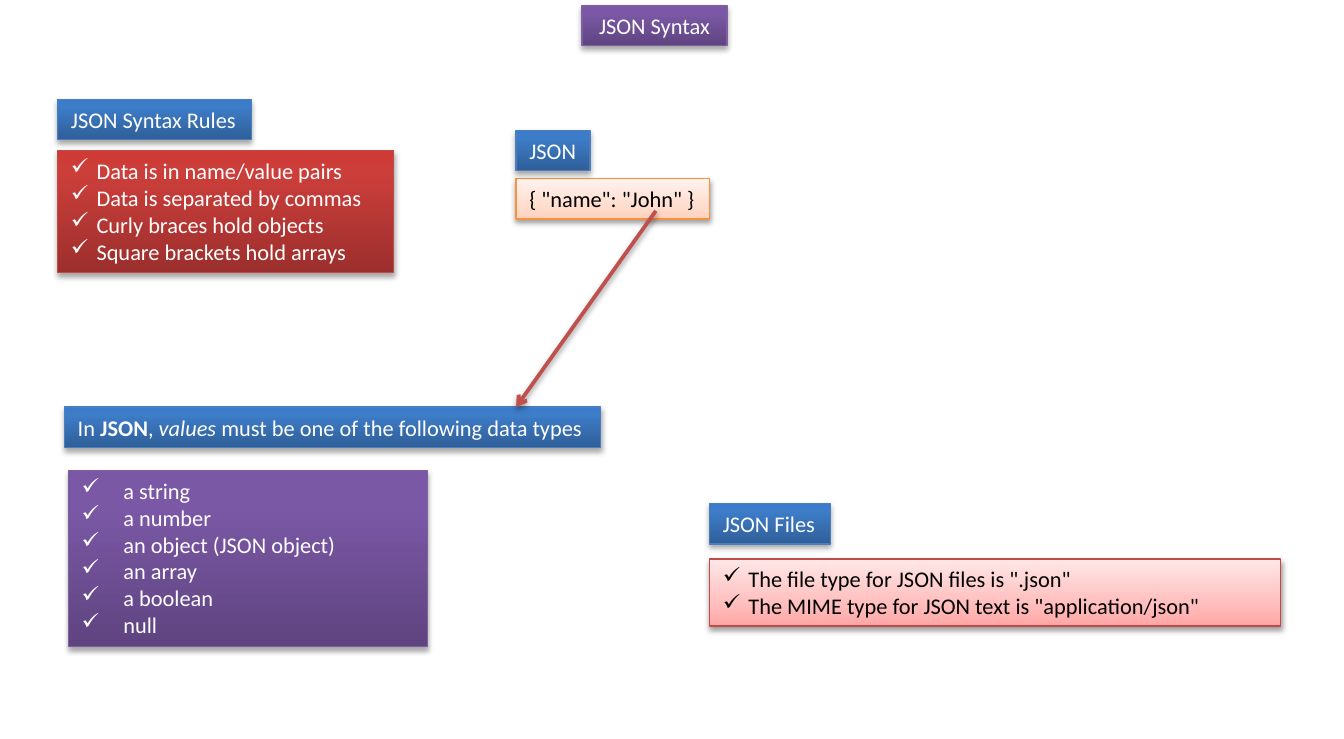
from dataclasses import dataclass

from pptx import Presentation
from pptx.dml.color import RGBColor
from pptx.enum.shapes import MSO_CONNECTOR, MSO_SHAPE
from pptx.enum.text import MSO_ANCHOR, MSO_AUTO_SIZE, PP_ALIGN
from pptx.oxml import parse_xml
from pptx.oxml.ns import nsdecls, qn
from pptx.util import Inches, Pt

FONT = "Calibri"
LABEL_HEIGHT = 0.3
LEFT, MIDDLE, RIGHT = 0.43, 3.84, 5.28


@dataclass(frozen=True)
class Theme:
    stops: tuple[tuple[int, str], ...]
    line: str
    ink: str
    shadow_alpha: int
    shadow_distance: float


@dataclass(frozen=True)
class Span:
    text: str
    bold: bool = False
    italic: bool = False


@dataclass(frozen=True)
class Panel:
    left: float
    top: float
    width: float
    theme: Theme
    lines: tuple[str | tuple[Span, ...], ...]
    height: float = LABEL_HEIGHT
    indent: float = 0
    wrap: bool = False
    align: PP_ALIGN = PP_ALIGN.LEFT


def dark(bottom: str, middle: str, top: str, line: str) -> Theme:
    return Theme(((0, bottom), (80, middle), (100, top)), line, "FFFFFF", 35, 1.8)


def light(bottom: str, middle: str, top: str, line: str) -> Theme:
    return Theme(((0, bottom), (35, middle), (100, top)), line, "000000", 38, 1.6)


BLUE = dark("2F5F99", "3D7CC7", "3A7CCB", "4B7EBC")
PURPLE = dark("5F4480", "7B58A6", "7C57A8", "7D60A0")
RED = dark("9C2F2D", "CB3E3A", "CE3B37", "BF4C48")
ORANGE = light("FFD2BD", "FFDED0", "FFF2ED", "F69240")
PINK = light("FFA6A5", "FFC0BF", "FFE7E7", "BF4C48")

PANELS = (
    Panel(4.33, 0.04, 1.08, PURPLE, ("JSON Syntax",), wrap=True, align=PP_ALIGN.CENTER),
    Panel(LEFT, 1.12, 2.5, RED, (
        "Data is in name/value pairs",
        "Data is separated by commas",
        "Curly braces hold objects",
        "Square brackets hold arrays",
    ), height=0.91, indent=0.19, wrap=True),
    Panel(LEFT, 0.74, 1.44, BLUE, ("JSON Syntax Rules",)),
    Panel(MIDDLE, 1.33, 1.44, ORANGE, ('{ "name": "John" }',)),
    Panel(MIDDLE, 0.97, 0.55, BLUE, ("JSON",)),
    Panel(0.51, 3.5, 2.67, PURPLE, (
        "a string",
        "a number",
        "an object (JSON object)",
        "an array",
        "a boolean",
        "null",
    ), height=1.31, indent=0.31, wrap=True),
    Panel(0.48, 3.03, 3.99, BLUE, ((
        Span("In "),
        Span("JSON", bold=True),
        Span(", "),
        Span("values", italic=True),
        Span(" must be one of the following data types"),
    ),)),
    Panel(RIGHT, 4.16, 4.25, PINK, (
        'The file type for JSON files is ".json"',
        'The MIME type for JSON text is "application/json"',
    ), height=0.5, indent=0.19, wrap=True),
    Panel(RIGHT, 3.75, 0.9, BLUE, ("JSON Files",)),
)


def color(value: str) -> RGBColor:
    return RGBColor.from_string(value)


def add_shadow(shape, alpha: int, distance: float) -> None:
    shape.element.spPr.append(parse_xml(
        f'<a:effectLst {nsdecls("a")}>'
        f'<a:outerShdw blurRad="{Pt(3.1)}" dist="{Pt(distance)}" dir="5400000" rotWithShape="0">'
        f'<a:srgbClr val="000000"><a:alpha val="{alpha * 1000}"/></a:srgbClr>'
        "</a:outerShdw></a:effectLst>"
    ))


def add_gradient(shape, stops: tuple[tuple[int, str], ...]) -> None:
    marks = "".join(
        f'<a:gs pos="{place * 1000}"><a:srgbClr val="{value}"/></a:gs>'
        for place, value in stops
    )
    shape.element.spPr.append(parse_xml(
        f'<a:gradFill {nsdecls("a")} rotWithShape="1"><a:gsLst>{marks}</a:gsLst>'
        '<a:lin ang="16200000" scaled="0"/></a:gradFill>'
    ))


def add_bullet(para, indent: float) -> None:
    properties = para._p.get_or_add_pPr()
    properties.set("marL", str(Inches(indent)))
    properties.set("indent", str(-Inches(indent)))
    properties.append(parse_xml(f'<a:buChar {nsdecls("a")} char="✓"/>'))


def add_text(para, text: str, *, ink: str, bold: bool = False, italic: bool = False) -> None:
    span = para.add_run()
    span.text = text
    span.font.name = FONT
    span.font.size = Pt(12)
    span.font.bold = bold
    span.font.italic = italic
    span.font.color.rgb = color(ink)


def draw_panel(page, panel: Panel) -> None:
    box = page.shapes.add_shape(
        MSO_SHAPE.RECTANGLE,
        Inches(panel.left), Inches(panel.top), Inches(panel.width), Inches(panel.height),
    )
    theme = panel.theme
    add_gradient(box, theme.stops)
    box.line.color.rgb = color(theme.line)
    box.line.width = Pt(0.75)
    add_shadow(box, theme.shadow_alpha, theme.shadow_distance)

    frame = box.text_frame
    frame.word_wrap = panel.wrap
    frame.auto_size = MSO_AUTO_SIZE.SHAPE_TO_FIT_TEXT
    frame.vertical_anchor = MSO_ANCHOR.TOP
    for index, line in enumerate(panel.lines):
        para = frame.add_paragraph() if index else frame.paragraphs[0]
        para.alignment = panel.align
        if panel.indent:
            add_bullet(para, panel.indent)
        spans = (Span(line),) if isinstance(line, str) else line
        for span in spans:
            add_text(para, span.text, ink=theme.ink, bold=span.bold, italic=span.italic)


def draw_arrow(page, start: tuple[float, float], end: tuple[float, float]) -> None:
    arrow = page.shapes.add_connector(
        MSO_CONNECTOR.STRAIGHT, *(Inches(value) for value in (*start, *end))
    )
    arrow.line.color.rgb = color("C0504D")
    arrow.line.width = Pt(2)
    arrow.element.spPr.find(qn("a:ln")).append(
        parse_xml(f'<a:tailEnd {nsdecls("a")} type="arrow"/>')
    )
    add_shadow(arrow, 38, 1.6)


def main() -> None:
    deck = Presentation()
    deck.slide_width = Inches(10)
    deck.slide_height = Inches(5.5)
    page = deck.slides.add_slide(deck.slide_layouts[6])
    for panel in PANELS:
        draw_panel(page, panel)
    draw_arrow(page, (4.88, 1.57), (MIDDLE, 3.03))
    deck.save("out.pptx")


if __name__ == "__main__":
    main()
